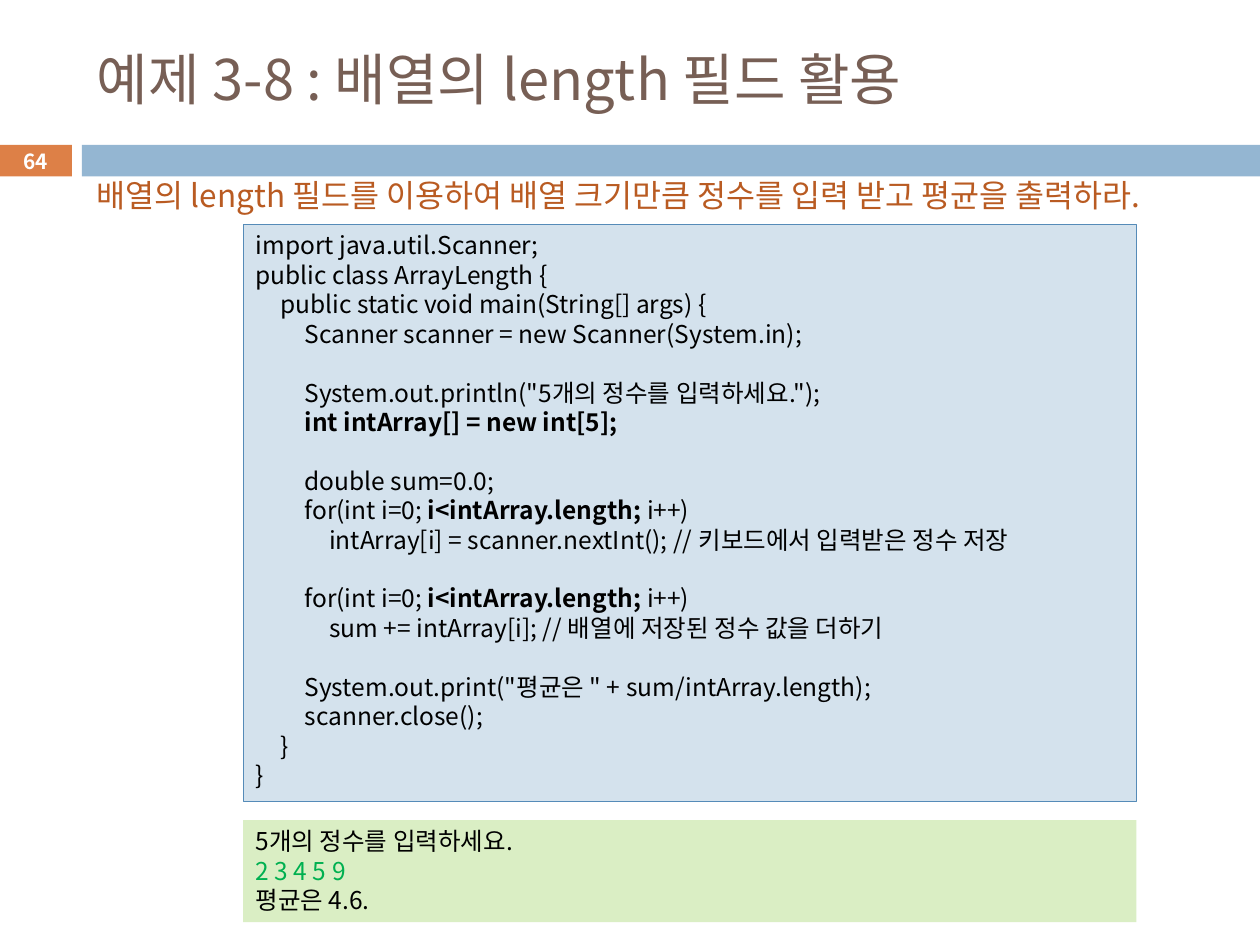
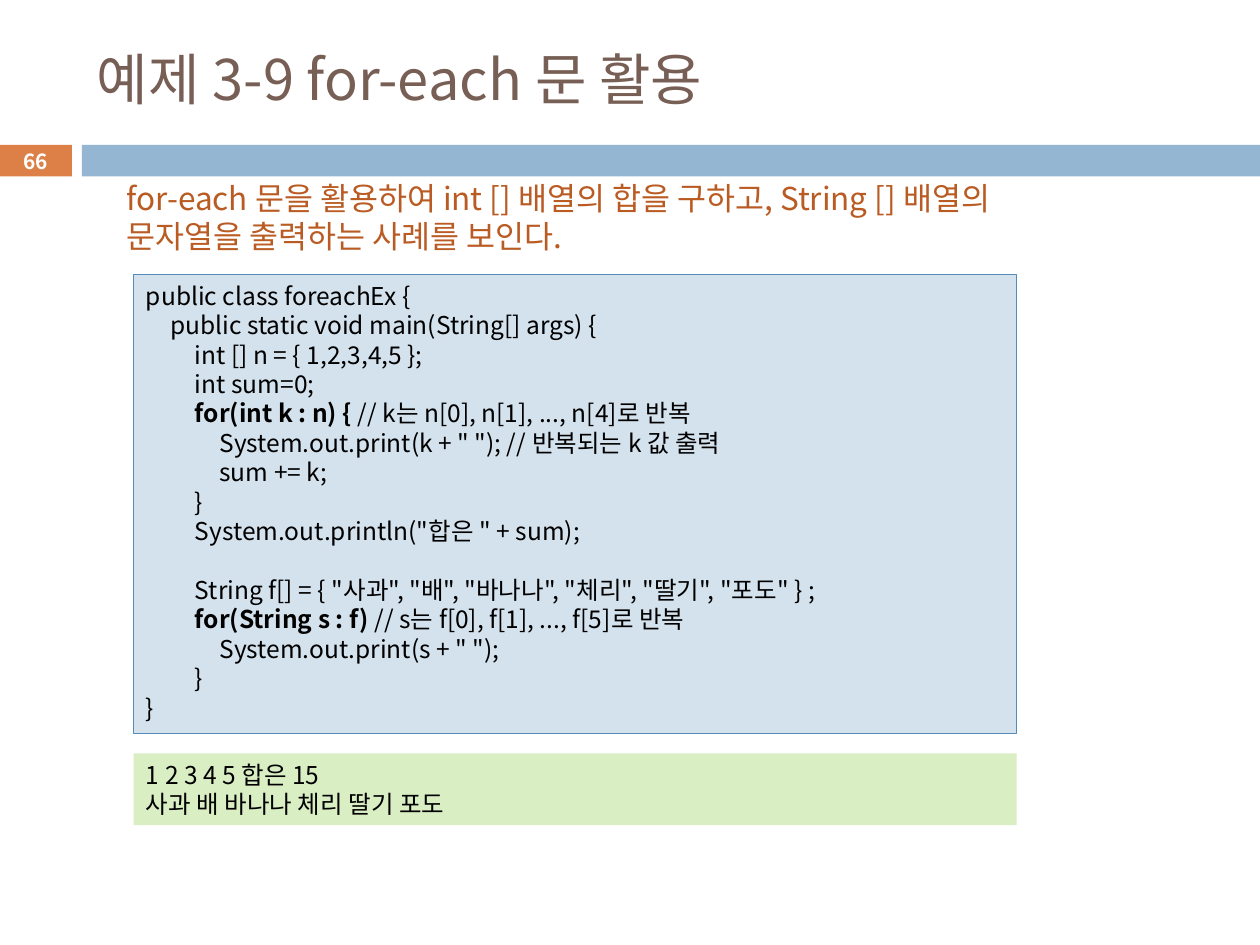
import pptx
import pptx.dml.color
import pptx.enum.shapes
import pptx.enum.text
import pptx.oxml.ns
import pptx.util
from lxml import etree

Inches, Pt = pptx.util.Inches, pptx.util.Pt
Align, Anchor = pptx.enum.text.PP_ALIGN, pptx.enum.text.MSO_ANCHOR
qn = pptx.oxml.ns.qn


class Theme:
    font = "Noto Sans CJK KR"
    title, task, code, page = 32, 18, 14, 11.9
    brown, rust, black, white, green = "775F55", "B95B22", "000000", "FFFFFF", "00B050"
    orange, blue, pale, edge, mint = "DD8047", "94B6D2", "D4E2ED", "558BB8", "DAEEC4"
    leading = 1.2
    tab = Pt(14)


def add_rect(slide, area, fill, edge=None):
    rect = slide.shapes.add_shape(
        pptx.enum.shapes.MSO_SHAPE.RECTANGLE, *map(Inches, area))
    rect.shadow.inherit = False
    rect.fill.solid()
    rect.fill.fore_color.rgb = pptx.dml.color.RGBColor.from_string(fill)
    if edge:
        rect.line.color.rgb = pptx.dml.color.RGBColor.from_string(edge)
        rect.line.width = Pt(0.75)
    else:
        rect.line.fill.background()
    return rect


def write(shape, text, size, color, align=Align.LEFT, anchor=Anchor.TOP, bold=False, marks={}):
    frame = shape.text_frame
    frame.word_wrap = True
    frame.vertical_anchor = anchor
    for row, line in enumerate(text.split("\n")):
        para = frame.paragraphs[0] if row == 0 else frame.add_paragraph()
        para.alignment = align
        para.line_spacing = Pt(size * Theme.leading)
        props = para._p.get_or_add_pPr()
        depth = line.count("\t")
        if depth:
            tabs = etree.SubElement(props, qn("a:tabLst"))
            for stop in range(1, depth + 1):
                etree.SubElement(tabs, qn("a:tab"), pos=str(Theme.tab * stop), algn="l")
        para.font.name = Theme.font
        para.font.size = Pt(size)
        para.font.bold = bold
        para.font.color.rgb = pptx.dml.color.RGBColor.from_string(marks.get(row, color))
        etree.SubElement(props.find(qn("a:defRPr")), qn("a:ea"), typeface=Theme.font)
        for part, piece in enumerate(line.split("**")):
            if piece:
                run = para.add_run()
                run.text = piece
                if part % 2:
                    run.font.bold = True


pages = [
    dict(
        page="64",
        title="예제 3-8 : 배열의 length 필드 활용",
        task="배열의 length 필드를 이용하여 배열 크기만큼 정수를 입력 받고 평균을 출력하라.",
        place=(0.67, 1.35, 8.55, 0.71),
        code_at=(1.93, 1.78, 7.09, 4.58),
        code="""import java.util.Scanner;
public class ArrayLength {
\tpublic static void main(String[] args) {
\t\tScanner scanner = new Scanner(System.in);

\t\tSystem.out.println("5개의 정수를 입력하세요.");
\t\t**int intArray[] = new int[5];**

\t\tdouble sum=0.0;
\t\tfor(int i=0; **i<intArray.length; **i++)
\t\t\tintArray[i] = scanner.nextInt(); // 키보드에서 입력받은 정수 저장

\t\tfor(int i=0; **i<intArray.length; **i++)
\t\t\tsum += intArray[i]; // 배열에 저장된 정수 값을 더하기

\t\tSystem.out.print("평균은 " + sum/intArray.length);
\t\tscanner.close();
\t}
}""",
        out_at=(1.93, 6.51, 7.09, 0.81),
        out="5개의 정수를 입력하세요.\n2 3 4 5 9\n평균은 4.6.",
        marks={1: Theme.green},
    ),
    dict(
        page="66",
        title="예제 3-9 for-each 문 활용",
        task="for-each 문을 활용하여 int [] 배열의 합을 구하고, String [] 배열의 문자열을 출력하는 사례를 보인다.",
        place=(0.91, 1.37, 7.4, 0.71),
        code_at=(1.06, 2.18, 7.01, 3.64),
        code="""public class foreachEx {
\tpublic static void main(String[] args) {
\t\tint [] n = { 1,2,3,4,5 };
\t\tint sum=0;
\t\t**for(int k : n) { **// k는 n[0], n[1], ..., n[4]로 반복
\t\t\tSystem.out.print(k + " "); // 반복되는 k 값 출력
\t\t\tsum += k;
\t\t}
\t\tSystem.out.println("합은 " + sum);

\t\tString f[] = { "사과", "배", "바나나", "체리", "딸기", "포도" } ;
\t\t**for(String s : f) **// s는 f[0], f[1], ..., f[5]로 반복
\t\t\tSystem.out.print(s + " ");
\t\t}
}""",
        out_at=(1.06, 5.98, 7.01, 0.57),
        out="1 2 3 4 5 합은 15\n사과 배 바나나 체리 딸기 포도",
        marks={},
    ),
]

deck = pptx.Presentation()
deck.slide_width, deck.slide_height = Inches(10), Inches(7.5)

for page in pages:
    slide = deck.slides.add_slide(deck.slide_layouts[6])

    tag = add_rect(slide, (-0.01, 1.15, 0.58, 0.25), Theme.orange)
    write(tag, page["page"], Theme.page, Theme.white, Align.CENTER, Anchor.MIDDLE, True)
    add_rect(slide, (0.65, 1.15, 9.35, 0.25), Theme.blue)

    title = slide.shapes.add_textbox(*map(Inches, (0.67, 0.25, 8.92, 0.74)))
    write(title, page["title"], Theme.title, Theme.brown, anchor=Anchor.MIDDLE)
    task = slide.shapes.add_textbox(*map(Inches, page["place"]))
    write(task, page["task"], Theme.task, Theme.rust)

    code = add_rect(slide, page["code_at"], Theme.pale, Theme.edge)
    write(code, page["code"], Theme.code, Theme.black)
    out = add_rect(slide, page["out_at"], Theme.mint)
    write(out, page["out"], Theme.code, Theme.black, marks=page["marks"])

deck.save("out.pptx")
